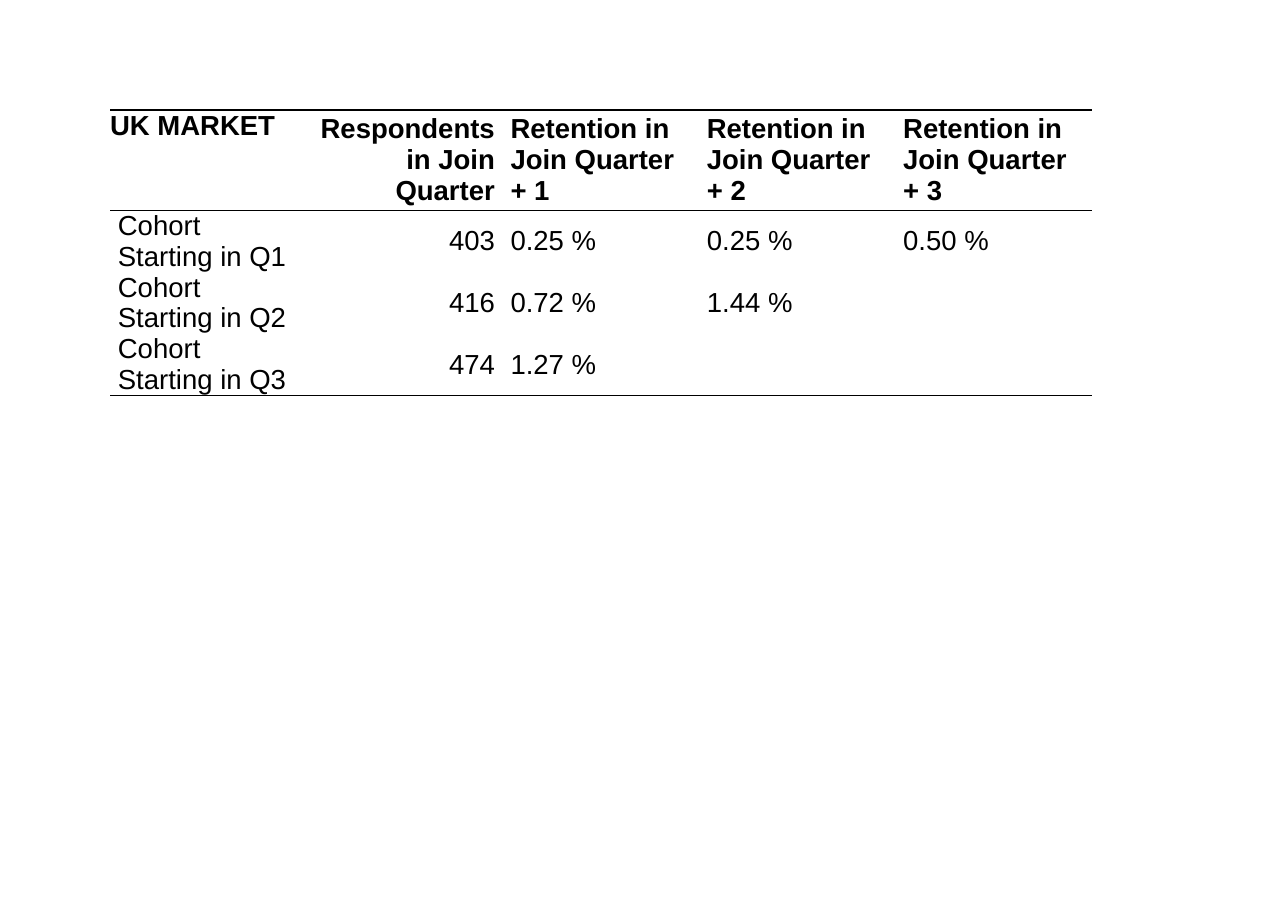
from dataclasses import dataclass

from lxml import etree
from pptx import Presentation
from pptx import util as u
from pptx.dml import color
from pptx.enum import text
from pptx.oxml import ns


@dataclass(frozen=True)
class Theme:
    font: str = "Arial"
    ink: str = "000000"
    text_size: u.Length = u.Pt(18)
    rule_width: u.Length = u.Pt(1)


THEME = Theme()
NO_GRID_STYLE = "{2D5ABB26-0587-4C30-8999-92F81FD0307C}"

# Table content
HEADER = ["UK MARKET", "Respondents in Join Quarter"] + [
    f"Retention in Join Quarter + {quarter}" for quarter in (1, 2, 3)
]
COHORTS = [
    ["Cohort Starting in Q1", "403", "0.25 %", "0.25 %", "0.50 %"],
    ["Cohort Starting in Q2", "416", "0.72 %", "1.44 %", ""],
    ["Cohort Starting in Q3", "474", "1.27 %", "", ""],
]
RESPONDENTS_COLUMN = 1

# Table geometry
LEFT = TOP = u.Cm(2.54)
COLUMN_WIDTH = u.Cm(4.53)
HEADER_HEIGHT = u.Cm(2.31)
COHORT_HEIGHT = u.Cm(1.42)
SIDE_MARGIN = u.Cm(0.18)


def add_rule(cell, edge):
    """Draw a solid line on the cell edge: lnT for top, lnB for bottom."""
    properties = cell._tc.get_or_add_tcPr()
    line = etree.SubElement(properties, ns.qn(f"a:{edge}"), w=str(THEME.rule_width))
    fill = etree.SubElement(line, ns.qn("a:solidFill"))
    etree.SubElement(fill, ns.qn("a:srgbClr"), val=THEME.ink)


def format_cell(cell, words, bold, align):
    cell.fill.background()
    cell.margin_left = cell.margin_right = SIDE_MARGIN
    cell.margin_top = cell.margin_bottom = 0
    cell.vertical_anchor = text.MSO_ANCHOR.MIDDLE
    cell.text = words
    paragraph = cell.text_frame.paragraphs[0]
    paragraph.alignment = align
    paragraph.font.name = THEME.font
    paragraph.font.size = THEME.text_size
    paragraph.font.bold = bold
    paragraph.font.color.rgb = color.RGBColor.from_string(THEME.ink)


def add_retention_table(slide):
    rows = [HEADER] + COHORTS
    heights = [HEADER_HEIGHT] + [COHORT_HEIGHT] * len(COHORTS)
    frame = slide.shapes.add_table(
        len(rows), len(HEADER), LEFT, TOP, COLUMN_WIDTH * len(HEADER), sum(heights)
    )
    table = frame.table
    table.first_row = table.horz_banding = False
    frame._element.find(f".//{ns.qn('a:tableStyleId')}").text = NO_GRID_STYLE

    for column in table.columns:
        column.width = COLUMN_WIDTH
    for row_index, (words_in_row, height) in enumerate(zip(rows, heights)):
        table.rows[row_index].height = height
        is_header = row_index == 0
        for column_index, words in enumerate(words_in_row):
            cell = table.cell(row_index, column_index)
            # Rules above and below the header and below the last cohort
            if is_header:
                add_rule(cell, "lnT")
            if is_header or row_index == len(COHORTS):
                add_rule(cell, "lnB")
            is_count = column_index == RESPONDENTS_COLUMN
            align = text.PP_ALIGN.RIGHT if is_count else text.PP_ALIGN.LEFT
            format_cell(cell, words, is_header, align)

    # The market name sits in the top left corner
    market = table.cell(0, 0)
    market.margin_left = 0
    market.vertical_anchor = text.MSO_ANCHOR.TOP


def main():
    presentation = Presentation()
    presentation.slide_width = u.Cm(29.72)
    presentation.slide_height = u.Cm(21.01)
    slide = presentation.slides.add_slide(presentation.slide_layouts[6])
    add_retention_table(slide)
    presentation.save("out.pptx")


if __name__ == "__main__":
    main()
